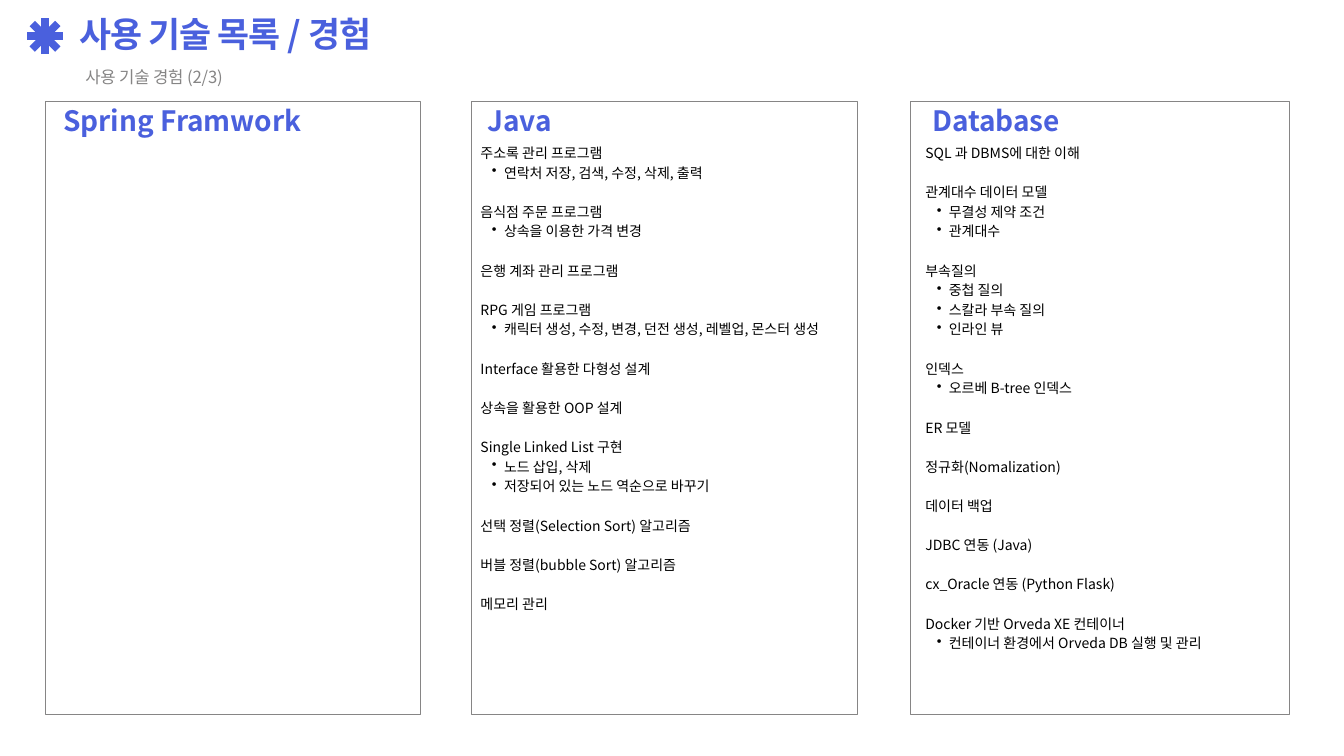
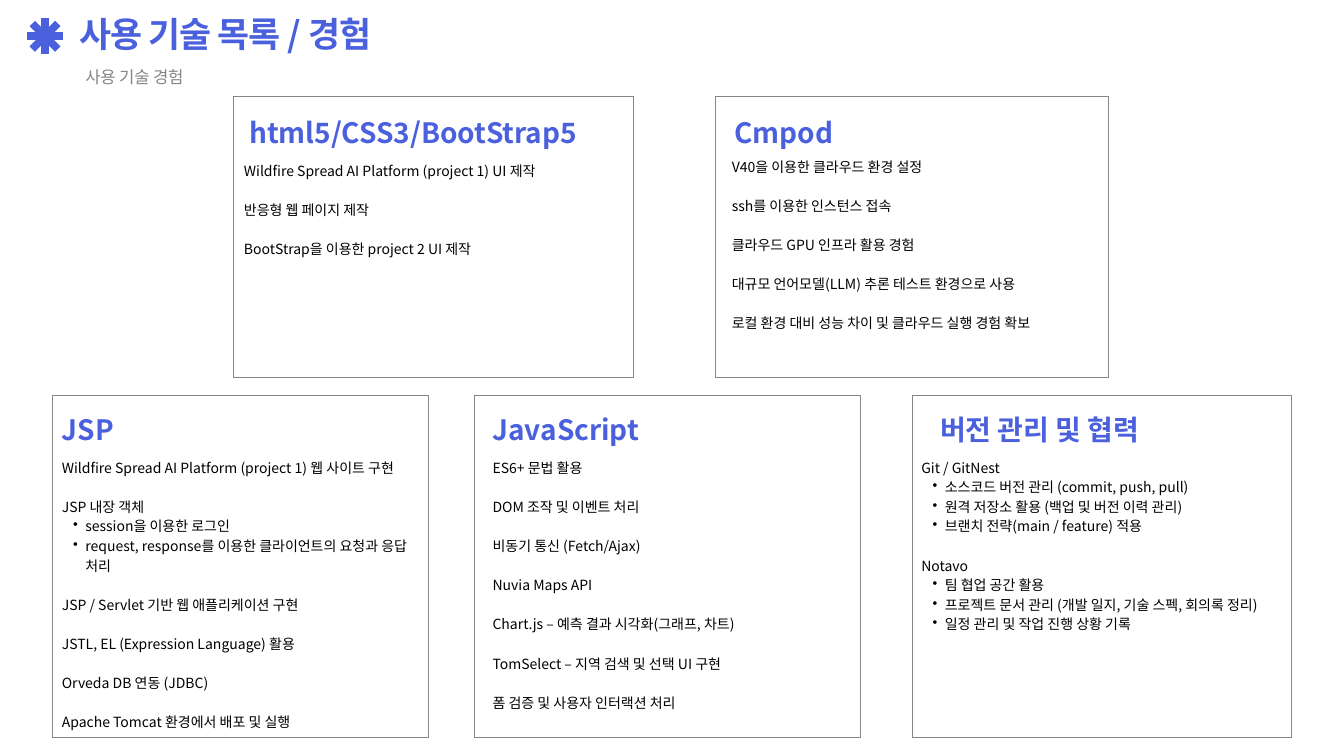
from lxml import etree
from pptx import Presentation
from pptx.dml.color import RGBColor
from pptx.enum import shapes, text
from pptx.oxml.ns import qn
from pptx.util import Inches, Pt

BLUE = RGBColor(0x4A, 0x60, 0xDD)
GRAY = RGBColor(0x86, 0x85, 0x85)
BLACK = RGBColor(0, 0, 0)
FONT = "Noto Sans CJK KR"

LINE_POINTS = 21
BULLET_MARGIN, BULLET_HANG = 0.35, 0.18

# Each panel: box, title, title offset, body offset, body width, groups.
# A group is a heading followed by its bullets.
EXPERIENCE_PANELS = [
    ((0.67, 1.51, 5.59, 9.12), "Spring Framwork", (0.27, -0.05), None, 0, []),
    ((7.02, 1.51, 5.74, 9.12), "Java", (0.23, -0.05), (0.13, 0.6), 5.51, [
        ["주소록 관리 프로그램", "연락처 저장, 검색, 수정, 삭제, 출력"],
        ["음식점 주문 프로그램", "상속을 이용한 가격 변경"],
        ["은행 계좌 관리 프로그램"],
        ["RPG 게임 프로그램",
         "캐릭터 생성, 수정, 변경, 던전 생성, 레벨업, 몬스터 생성"],
        ["Interface 활용한 다형성 설계"],
        ["상속을 활용한 OOP 설계"],
        ["Single Linked List 구현", "노드 삽입, 삭제",
         "저장되어 있는 노드 역순으로 바꾸기"],
        ["선택 정렬(Selection Sort) 알고리즘"],
        ["버블 정렬(bubble Sort) 알고리즘"],
        ["메모리 관리"],
    ]),
    ((13.55, 1.51, 5.64, 9.12), "Database", (0.32, -0.05), (0.22, 0.6), 5.51, [
        ["SQL 과 DBMS에 대한 이해"],
        ["관계대수 데이터 모델", "무결성 제약 조건", "관계대수"],
        ["부속질의", "중첩 질의", "스칼라 부속 질의", "인라인 뷰"],
        ["인덱스", "오르베 B-tree 인덱스"],
        ["ER 모델"],
        ["정규화(Nomalization)"],
        ["데이터 백업"],
        ["JDBC 연동 (Java)"],
        ["cx_Oracle 연동 (Python Flask)"],
        ["Docker 기반 Orveda XE 컨테이너",
         "컨테이너 환경에서 Orveda DB 실행 및 관리"],
    ]),
]

WEB_PANELS = [
    ((3.47, 1.43, 5.95, 4.19), "html5/CSS3/BootStrap5", (0.24, 0.2), (0.16, 0.94), 5.37, [
        ["Wildfire Spread AI Platform (project 1) UI 제작"],
        ["반응형 웹 페이지 제작"],
        ["BootStrap을 이용한 project 2 UI 제작"],
    ]),
    ((10.64, 1.43, 5.86, 4.19), "Cmpod", (0.29, 0.2), (0.25, 0.88), 5.37, [
        ["V40을 이용한 클라우드 환경 설정"],
        ["ssh를 이용한 인스턴스 접속"],
        ["클라우드 GPU 인프라 활용 경험"],
        ["대규모 언어모델(LLM) 추론 테스트 환경으로 사용"],
        ["로컬 환경 대비 성능 차이 및 클라우드 실행 경험 확보"],
    ]),
    ((0.78, 5.88, 5.59, 5.1), "JSP", (0.14, 0.17), (0.14, 0.91), 5.37, [
        ["Wildfire Spread AI Platform (project 1) 웹 사이트 구현"],
        ["JSP 내장 객체", "session을 이용한 로그인",
         "request, response를 이용한 클라이언트의 요청과 응답 처리"],
        ["JSP / Servlet 기반 웹 애플리케이션 구현"],
        ["JSTL, EL (Expression Language) 활용"],
        ["Orveda DB 연동 (JDBC)"],
        ["Apache Tomcat 환경에서 배포 및 실행"],
    ]),
    ((7.06, 5.88, 5.74, 5.1), "JavaScript", (0.27, 0.17), (0.27, 0.91), 5.37, [
        ["ES6+ 문법 활용"],
        ["DOM 조작 및 이벤트 처리"],
        ["비동기 통신 (Fetch/Ajax)"],
        ["Nuvia Maps API"],
        ["Chart.js – 예측 결과 시각화(그래프, 차트)"],
        ["TomSelect – 지역 검색 및 선택 UI 구현"],
        ["폼 검증 및 사용자 인터랙션 처리"],
    ]),
    ((13.57, 5.88, 5.64, 5.1), "버전 관리 및 협력", (0.42, 0.17), (0.14, 0.91), 5.37, [
        ["Git / GitNest", "소스코드 버전 관리 (commit, push, pull)",
         "원격 저장소 활용 (백업 및 버전 이력 관리)",
         "브랜치 전략(main / feature) 적용"],
        ["Notavo", "팀 협업 공간 활용",
         "프로젝트 문서 관리 (개발 일지, 기술 스펙, 회의록 정리)",
         "일정 관리 및 작업 진행 상황 기록"],
    ]),
]


def add_text_frame(slide, left, top, width, height):
    box = slide.shapes.add_textbox(Inches(left), Inches(top), Inches(width), Inches(height))
    frame = box.text_frame
    frame.margin_left = frame.margin_top = frame.margin_right = frame.margin_bottom = 0
    frame.word_wrap = True
    frame.auto_size = text.MSO_AUTO_SIZE.SHAPE_TO_FIT_TEXT
    return frame


def style_paragraph(paragraph, size, color, line_points, bold=False, tracking=0):
    paragraph.line_spacing = Pt(line_points)
    font = paragraph.font
    font.size, font.bold, font.name = Pt(size), bold, FONT
    font.color.rgb = color
    properties = paragraph._p.get_or_add_pPr().find(qn("a:defRPr"))
    etree.SubElement(properties, qn("a:ea")).set("typeface", FONT)
    if tracking:
        properties.set("spc", str(round(tracking * 100)))


def add_bullet(paragraph):
    properties = paragraph._p.get_or_add_pPr()
    properties.set("marL", str(Inches(BULLET_MARGIN)))
    properties.set("indent", str(-Inches(BULLET_HANG)))
    properties.set("lvl", "1")
    etree.SubElement(properties, qn("a:buChar")).set("char", "•")


def add_asterisk(slide, center_x, center_y):
    group = slide.shapes.add_group_shape()
    long, short = 0.265, 0.19
    for dx, dy in [(long, 0), (0, -long), (short, -short), (-short, -short)]:
        line = group.shapes.add_connector(
            shapes.MSO_CONNECTOR.STRAIGHT,
            Inches(center_x - dx), Inches(center_y - dy),
            Inches(center_x + dx), Inches(center_y + dy))
        line.line.color.rgb = BLUE
        line.line.width = Pt(8.21)
        etree.SubElement(line._element.spPr, qn("a:effectLst"))


def add_header(slide, subtitle):
    add_asterisk(slide, 0.67, 0.54)
    title = add_text_frame(slide, 1.19, 0.29, 4.9, 0.55).paragraphs[0]
    title.text = "사용 기술 목록 / 경험"
    style_paragraph(title, 37.3, BLUE, 37.3, bold=True, tracking=-1.1)
    caption = add_text_frame(slide, 1.27, 0.94, 5.62, 0.34).paragraphs[0]
    caption.text = subtitle
    style_paragraph(caption, 17.9, GRAY, 25.1, tracking=-0.2)


def add_body(slide, left, top, width, groups):
    line_count = sum(map(len, groups)) + len(groups) - 1
    frame = add_text_frame(slide, left, top, width, line_count * LINE_POINTS / 72)
    paragraph = frame.paragraphs[0]
    for group_index, group in enumerate(groups):
        for item_index, item in enumerate(group):
            if group_index or item_index:
                paragraph = frame.add_paragraph()
            paragraph.text = item
            if item_index:
                add_bullet(paragraph)
            elif group_index:
                paragraph.space_before = Pt(LINE_POINTS)
            style_paragraph(paragraph, 15, BLACK, LINE_POINTS)


def add_panel(slide, box, title, title_offset, body_offset, body_width, groups):
    left, top, width, height = box
    # Frame
    frame = slide.shapes.add_shape(shapes.MSO_SHAPE.RECTANGLE, *map(Inches, box))
    frame.shadow.inherit = False
    frame.fill.background()
    frame.line.color.rgb = GRAY
    frame.line.width = Pt(0.75)
    # Title
    dx, dy = title_offset
    heading = add_text_frame(slide, left + dx, top + dy, width - dx - 0.2, 0.57).paragraphs[0]
    heading.text = title
    heading.alignment = text.PP_ALIGN.JUSTIFY
    style_paragraph(heading, 30, BLUE, 42, bold=True)
    # Body
    if groups:
        dx, dy = body_offset
        add_body(slide, left + dx, top + dy, body_width, groups)


def add_skill_slide(presentation, subtitle, panels):
    slide = presentation.slides.add_slide(presentation.slide_layouts[6])
    add_header(slide, subtitle)
    for panel in panels:
        add_panel(slide, *panel)


def main():
    presentation = Presentation()
    presentation.slide_width = Inches(20)
    presentation.slide_height = Inches(11.25)
    add_skill_slide(presentation, "사용 기술 경험 (2/3)", EXPERIENCE_PANELS)
    add_skill_slide(presentation, "사용 기술 경험", WEB_PANELS)
    presentation.save("out.pptx")


if __name__ == "__main__":
    main()
